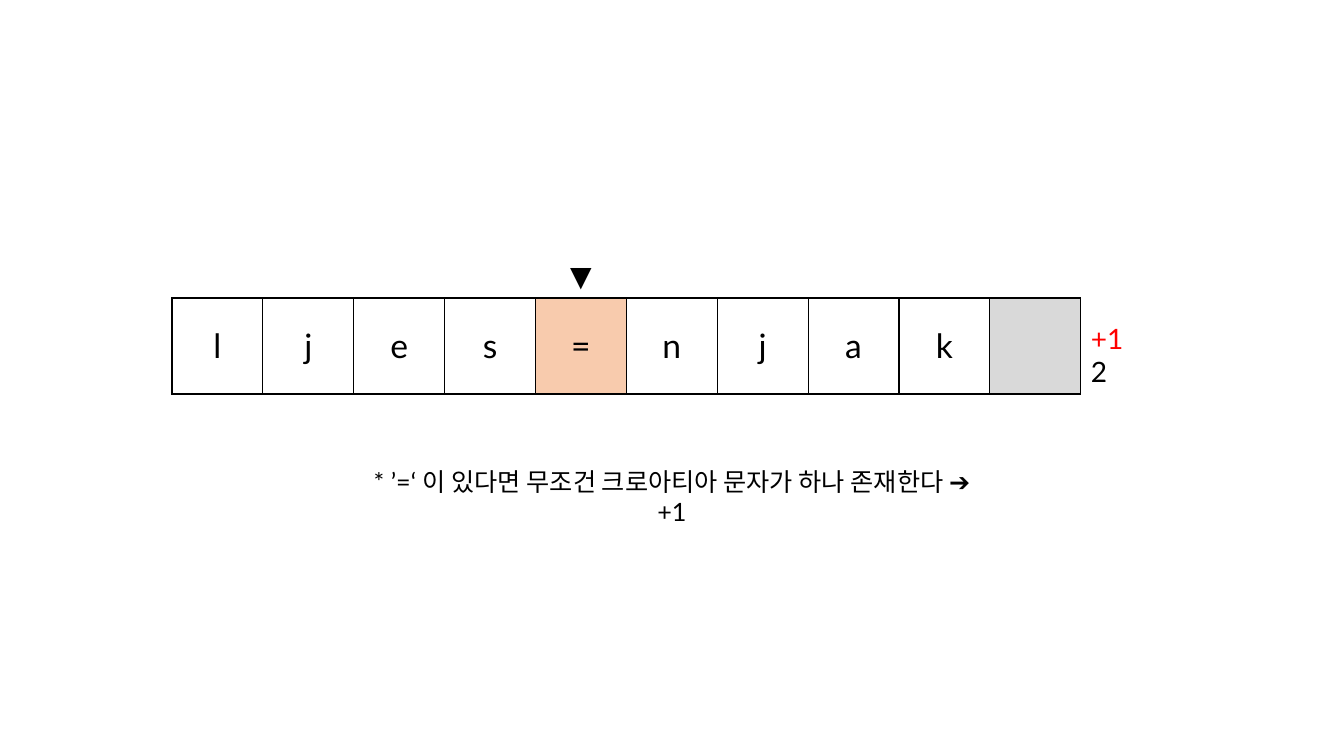
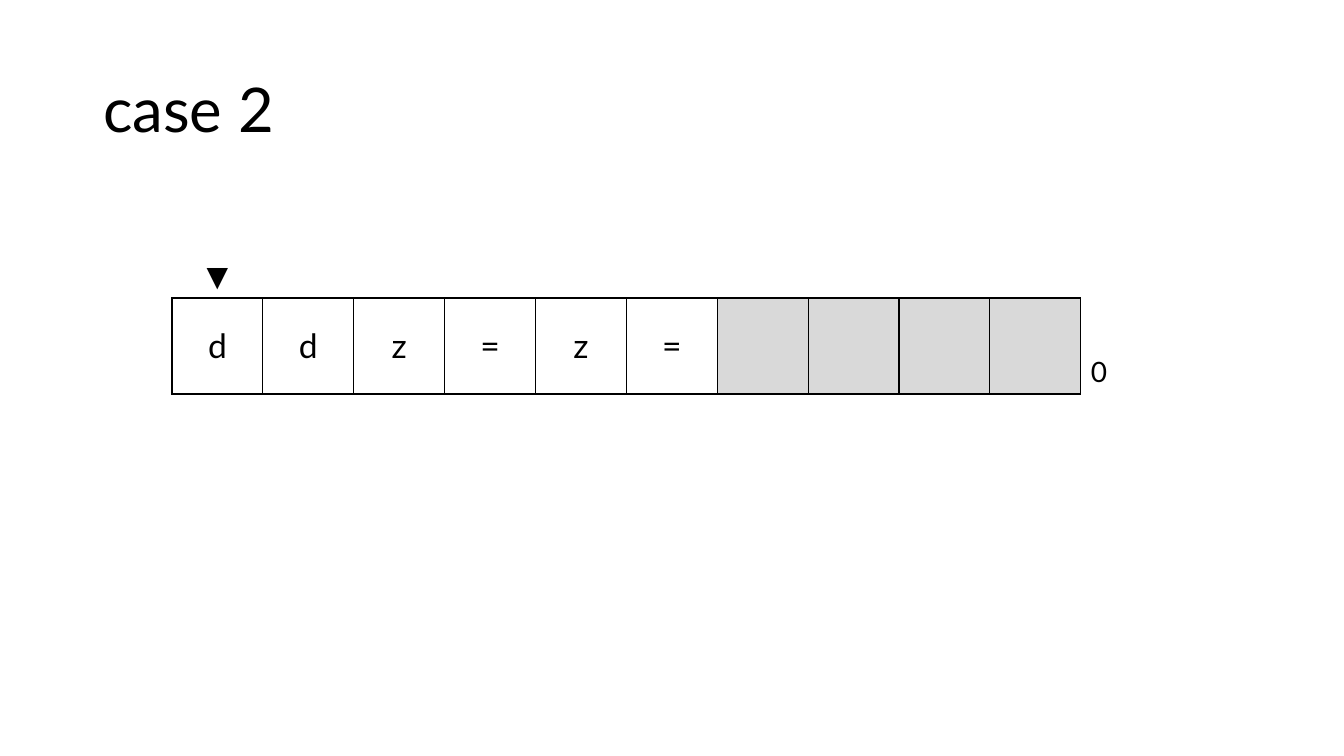
from lxml.etree import SubElement
from pptx import Presentation
from pptx.dml.color import RGBColor
from pptx.enum.text import MSO_ANCHOR, PP_ALIGN
from pptx.oxml.ns import qn
from pptx.util import Emu, Pt

COLORS = {"ink": "000000", "red": "FF0000", "white": "FFFFFF",
          "peach": "F8CBAD", "grey": "D9D9D9"}
FONT = "Lato"
SCALE = 914400 / 100.8
PLAIN = "{2D5ABB26-0587-4C30-8999-92F81FD0307C}"  # table style without grid


def px(n):
    return Emu(round(n * SCALE))


def rgb(name):
    return RGBColor.from_string(COLORS[name])


def write(frame, *lines, size=18, color="ink", align=PP_ALIGN.CENTER,
          space=None):
    """Fill a frame; a line is text or a (text, color) pair."""
    for i, line in enumerate(lines):
        text, tone = (line, color) if isinstance(line, str) else line
        para = frame.paragraphs[0] if i == 0 else frame.add_paragraph()
        para.alignment = align
        if space:
            para.line_spacing = space
        run = para.add_run()
        run.text = text
        run.font.name = FONT
        run.font.size = Pt(size)
        run.font.color.rgb = rgb(tone)


def border(cell, sides):
    """Draw 1 pt lines on the given sides, in the order L R T B."""
    props = cell._tc.get_or_add_tcPr()
    for side in sides:
        line = SubElement(props, qn("a:ln" + side), w=str(Pt(1)))
        fill = SubElement(line, qn("a:solidFill"))
        SubElement(fill, qn("a:srgbClr"), val=COLORS["ink"])


class Deck:
    SLOTS = 10  # letter cells; one more column holds the score

    def __init__(self):
        self.prs = Presentation()
        self.prs.slide_width, self.prs.slide_height = px(1344), px(756)
        self.slide = None

    def page(self, title=None):
        layout = self.prs.slide_layouts[5 if title else 6]
        self.slide = self.prs.slides.add_slide(layout)
        if title:
            head = self.slide.shapes.title
            head.left, head.top = px(93), px(40)
            head.width, head.height = px(1159), px(146)
            head.text_frame.vertical_anchor = MSO_ANCHOR.MIDDLE
            write(head.text_frame, title, size=44, align=PP_ALIGN.LEFT,
                  space=0.9)

    def cell(self, cell, *lines, sides="", fill=None,
             anchor=MSO_ANCHOR.BOTTOM, **style):
        border(cell, sides)
        if fill:
            cell.fill.solid()
            cell.fill.fore_color.rgb = rgb(fill)
        else:
            cell.fill.background()
        cell.vertical_anchor = anchor
        write(cell.text_frame, *lines, **style)

    def word(self, word, mark, score, hit=None):
        """Letter strip with a pointer above and the score at its right."""
        cols = self.SLOTS + 1
        frame = self.slide.shapes.add_table(
            2, cols, px(172), px(254), px(1000), px(140))
        table = frame.table
        table.first_row = table.horz_banding = False
        table._tbl.tblPr.find(qn("a:tableStyleId")).text = PLAIN
        for col in table.columns:
            col.width = px(1000 / cols)
        table.rows[0].height, table.rows[1].height = px(44), px(96)

        for i in range(self.SLOTS):
            # Pointer row
            tip = ["▼"] if i == mark else []
            self.cell(table.cell(0, i), *tip, sides="B", size=20)
            # Letter row, padded with grey cells
            used = i < len(word)
            fill = "peach" if i == hit else "white" if used else "grey"
            self.cell(table.cell(1, i), *word[i:i + 1], sides="LRTB",
                      fill=fill, anchor=MSO_ANCHOR.MIDDLE, size=24)

        # Score column
        self.cell(table.cell(0, self.SLOTS))
        self.cell(table.cell(1, self.SLOTS), *score, sides="L", size=20,
                  align=PP_ALIGN.LEFT)

    def note(self, text, x, y, w, h):
        box = self.slide.shapes.add_textbox(px(x), px(y), px(w), px(h))
        box.text_frame.word_wrap = True
        write(box.text_frame, text)


def main():
    deck = Deck()

    # Matching step
    deck.page()
    deck.word("ljes=njak", mark=4, hit=4, score=[("+1", "red"), "2"])
    deck.note("* ’=‘ 이 있다면 무조건 크로아티아 문자가 하나 존재한다 ➔ +1",
              355, 461, 634, 40)

    # Start of the second case
    deck.page("case 2")
    deck.word("ddz=z=", mark=0, score=["0"])

    deck.prs.save("out.pptx")


if __name__ == "__main__":
    main()
